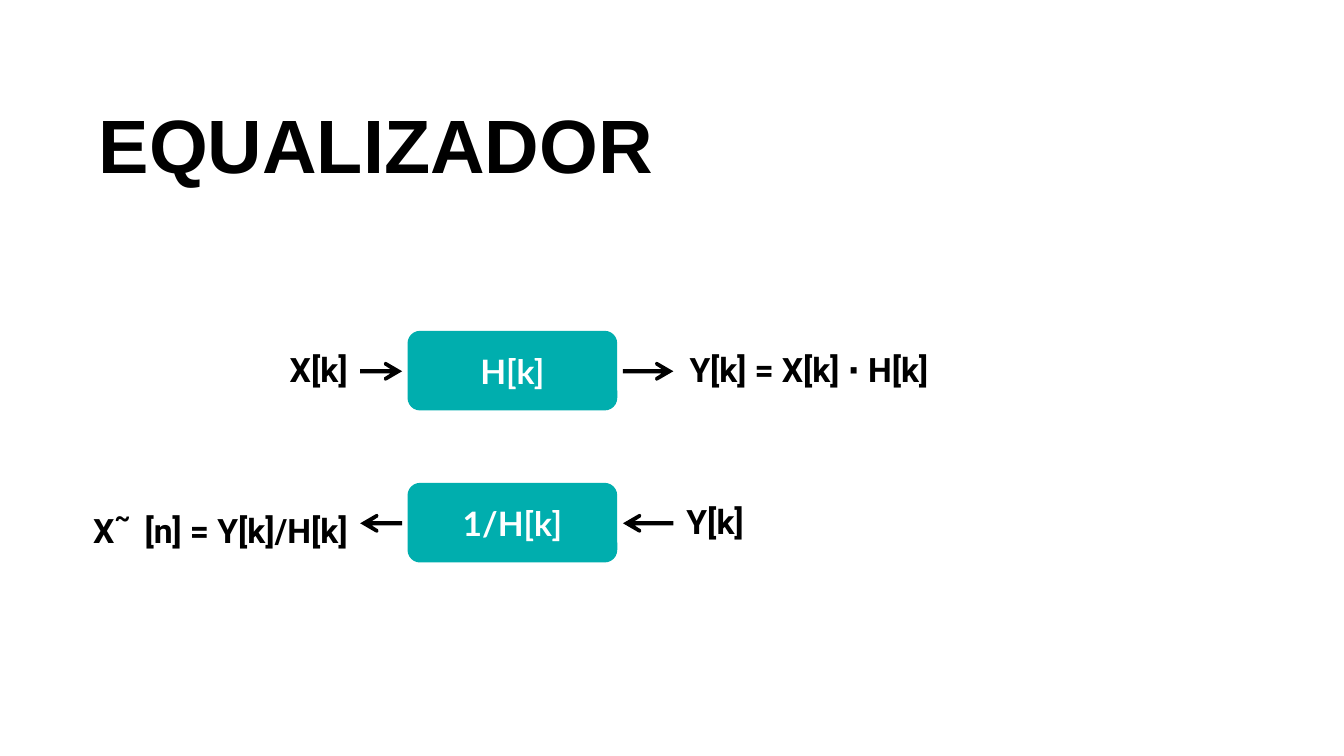
from pptx import Presentation
from pptx.dml import color
from pptx.enum import shapes, text
from pptx.util import Pt

BLACK, WHITE, TEAL = "000000", "FFFFFF", "00AEAE"
LEFT, CENTER, RIGHT = text.PP_ALIGN.LEFT, text.PP_ALIGN.CENTER, text.PP_ALIGN.RIGHT

TITLE = "EQUALIZADOR"
ESTIMATE = [
    ("X", {"spacing": -6.9}),
    ("~ ", {"size": 30, "raised": 40}),
    (" [n] = ", {"spacing": -0.1}),
    ("Y[k]/H[k]", {}),
]
ROWS = [
    {"left": [("X[k]", {})], "block": "H[k]",
     "right": [("Y[k] = X[k] ⋅ H[k]", {"spacing": -0.1})],
     "indent": 3, "forward": True, "left_height": 30},
    {"left": ESTIMATE, "block": "1/H[k]", "right": [("Y[k]", {})],
     "indent": 0.7, "forward": False, "left_height": 60},
]

BLOCK_LEFT, BLOCK_TOP, BLOCK_WIDTH, BLOCK_HEIGHT = 291.1, 236.3, 149.8, 56.9
ROW_PITCH = 108.6
LABEL_WIDTH, LABEL_HEIGHT = 198.7, 30
LABEL_DROP = 12.5
LEFT_LABEL, RIGHT_LABEL = 49.7, 489.6
ARROWS = [(257.3, 287.3), (445, 481)]
ARROW_DROP = 28.9
HALF_STROKE = 1.5
HEAD_SIDE = [(11, 6.4), (12.2, 6.7), (13, 5.8), (12.8, 4.4), (8.3, HALF_STROKE)]


def rgb(code):
    return color.RGBColor.from_string(code)


def paint(shape, code):
    shape.shadow.inherit = False
    shape.fill.solid()
    shape.fill.fore_color.rgb = rgb(code)
    shape.line.fill.background()


def write(shape, runs, font="Roboto", size=24, ink=BLACK, align=LEFT,
          anchor=text.MSO_ANCHOR.TOP, margins=(0, 0.7, 0, 0), before=1, line=1.0):
    frame = shape.text_frame
    frame.word_wrap = True
    frame.vertical_anchor = anchor
    (frame.margin_left, frame.margin_top,
     frame.margin_right, frame.margin_bottom) = map(Pt, margins)
    para = frame.paragraphs[0]
    para.alignment = align
    para.space_before = Pt(before)
    para.line_spacing = line
    for words, style in runs:
        span = para.add_run()
        span.text = words
        span.font.name = font
        span.font.size = Pt(style.get("size", size))
        span.font.bold = True
        span.font.color.rgb = rgb(ink)
        properties = span.font._element
        if "spacing" in style:
            properties.set("spc", str(round(style["spacing"] * 100)))
        if "raised" in style:
            properties.set("baseline", str(style["raised"] * 1000))


def add_text(page, place, runs, **style):
    box = page.shapes.add_textbox(*map(Pt, place))
    write(box, runs, **style)


def add_block(page, top, label):
    block = page.shapes.add_shape(
        shapes.MSO_SHAPE.ROUNDED_RECTANGLE,
        *map(Pt, (BLOCK_LEFT, top, BLOCK_WIDTH, BLOCK_HEIGHT)))
    block.adjustments[0] = 0.158
    paint(block, TEAL)
    write(block, [(label, {})], font="Lato", ink=WHITE, align=CENTER,
          anchor=text.MSO_ANCHOR.MIDDLE, margins=(0, 0, 0, 0), before=0)


def add_arrow(page, tail, tip, middle):
    back = 1 if tail > tip else -1
    side = HEAD_SIDE + [(abs(tail - tip), HALF_STROKE)]
    mirrored = [(reach, -rise) for reach, rise in reversed(side)]
    outline = [(Pt(tip + back * reach), Pt(middle + rise))
               for reach, rise in side + mirrored]
    builder = page.shapes.build_freeform(Pt(tip), Pt(middle))
    builder.add_line_segments(outline, close=True)
    paint(builder.convert_to_shape(), BLACK)


def main():
    deck = Presentation()
    deck.slide_width, deck.slide_height = Pt(960), Pt(540)
    page = deck.slides.add_slide(deck.slide_layouts[6])
    add_text(page, (63.4, 54, 833.8, 104.4), [(TITLE, {})], font="Arial", size=54,
             anchor=text.MSO_ANCHOR.MIDDLE, margins=(7.2, 3.6, 7.2, 3.6),
             before=0, line=0.9)
    for index, row in enumerate(ROWS):
        top = BLOCK_TOP + index * ROW_PITCH
        for ends in ARROWS:
            tail, tip = ends if row["forward"] else ends[::-1]
            add_arrow(page, tail, tip, top + ARROW_DROP)
        add_block(page, top, row["block"])
        label_top = top + LABEL_DROP
        add_text(page, (LEFT_LABEL, label_top, LABEL_WIDTH, row["left_height"]),
                 row["left"], align=RIGHT)
        add_text(page, (RIGHT_LABEL, label_top, LABEL_WIDTH, LABEL_HEIGHT),
                 row["right"], margins=(row["indent"], 0.7, 0, 0))
    deck.save("out.pptx")


if __name__ == "__main__":
    main()
